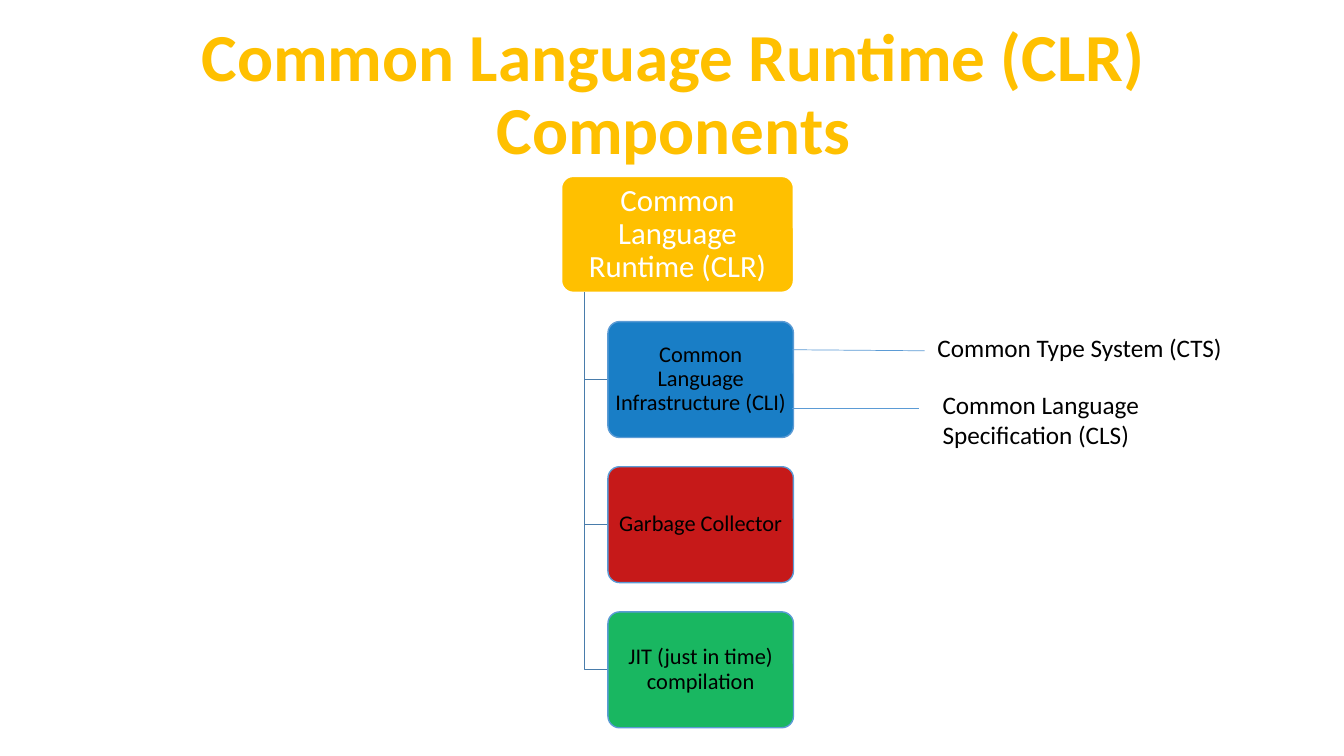
import pptx
import pptx.dml.color
import pptx.enum.shapes
import pptx.enum.text
import pptx.oxml
import pptx.oxml.ns
import pptx.util
from pptx.util import Inches

COLORS = {
    "gold": "FFC000",
    "white": "FFFFFF",
    "black": "000000",
    "blue": "0070C0",
    "red": "C00000",
    "green": "00B050",
    "outline": "5B9BD5",
    "branch": "497CAB",
}
FONT = "Calibri"

COMPONENTS = [
    ("Common Language Infrastructure (CLI)", "blue"),
    ("Garbage Collector", "red"),
    ("JIT (just in time) compilation", "green"),
]
# text, line start y, line end, label left and top, label height
CLI_PARTS = [
    ("Common Type System (CTS)", 3.47, (9.17, 3.48), (9.2, 3.25), 0.4),
    ("Common Language Specification (CLS)", 4.05, (9.12, 4.05), (9.25, 3.81), 0.71),
]
NODE_HEIGHT = 1.15
NODE_STEP = 1.44


def color(name):
    return pptx.dml.color.RGBColor.from_string(COLORS[name])


def set_line(shape, name, width):
    shape.line.color.rgb = color(name)
    shape.line.width = pptx.util.Pt(width)


def write(frame, text, size, name, align, bold=False, spacing=None):
    frame.word_wrap = True
    para = frame.paragraphs[0]
    para.alignment = align
    if spacing:
        para.line_spacing = spacing
    span = para.add_run()
    span.text = text
    span.font.name = FONT
    span.font.size = pptx.util.Pt(size)
    span.font.bold = bold
    span.font.color.rgb = color(name)


def add_title(page, left, top, width, height):
    title = page.shapes.title
    title.left, title.top = Inches(left), Inches(top)
    title.width, title.height = Inches(width), Inches(height)
    frame = title.text_frame
    frame.auto_size = pptx.enum.text.MSO_AUTO_SIZE.NONE
    frame.vertical_anchor = pptx.enum.text.MSO_ANCHOR.MIDDLE
    write(frame, "Common Language Runtime (CLR) Components", 48, "gold",
          pptx.enum.text.PP_ALIGN.CENTER, bold=True, spacing=0.9)


def add_node(page, left, top, width, text, size, fill, line, ink, opacity=100):
    node = page.shapes.add_shape(
        pptx.enum.shapes.MSO_SHAPE.ROUNDED_RECTANGLE,
        Inches(left), Inches(top), Inches(width), Inches(NODE_HEIGHT))
    node.adjustments[0] = 0.1
    node.shadow.inherit = False
    node.fill.solid()
    node.fill.fore_color.rgb = color(fill)
    if opacity < 100:
        swatch = node.fill._xPr.find(".//" + pptx.oxml.ns.qn("a:srgbClr"))
        alpha = pptx.oxml.parse_xml(
            f'<a:alpha {pptx.oxml.ns.nsdecls("a")} val="{opacity * 1000}"/>')
        swatch.append(alpha)
    set_line(node, line, 1)
    frame = node.text_frame
    frame.margin_left = frame.margin_right = Inches(0.03)
    frame.margin_top = frame.margin_bottom = Inches(0.02)
    frame.vertical_anchor = pptx.enum.text.MSO_ANCHOR.MIDDLE
    write(frame, text, size, ink, pptx.enum.text.PP_ALIGN.CENTER, spacing=0.9)


def add_branch(page, left, top, right, bottom):
    """Draw the bent line that goes down from the root and right to a node."""
    builder = page.shapes.build_freeform(Inches(left), Inches(top))
    builder.add_line_segments(
        [(Inches(left), Inches(bottom)), (Inches(right), Inches(bottom))],
        close=False)
    branch = builder.convert_to_shape()
    branch.shadow.inherit = False
    branch.fill.background()
    set_line(branch, "branch", 1)


def add_tree(page, left, top, width):
    """Place the root node with its components stacked below it."""
    add_node(page, left, top, width, "Common Language Runtime (CLR)", 22,
             "gold", "white", "white")
    trunk, indent = left + 0.23, 0.46
    for row, (text, fill) in enumerate(COMPONENTS, start=1):
        node_top = top + row * NODE_STEP
        add_branch(page, trunk, top + NODE_HEIGHT, left + indent,
                   node_top + NODE_HEIGHT / 2)
        add_node(page, left + indent, node_top, width - indent, text, 16,
                 fill, "outline", "black", opacity=90)


def add_cli_parts(page, left, width):
    """Lead lines from the infrastructure node to its named parts."""
    for text, start_y, (end_x, end_y), (label_left, label_top), height in CLI_PARTS:
        lead = page.shapes.add_connector(
            pptx.enum.shapes.MSO_CONNECTOR.STRAIGHT,
            Inches(left), Inches(start_y), Inches(end_x), Inches(end_y))
        lead._element.spPr.append(pptx.oxml.parse_xml(
            f'<a:effectLst {pptx.oxml.ns.nsdecls("a")}/>'))
        set_line(lead, "outline", 0.5)
        label = page.shapes.add_textbox(
            Inches(label_left), Inches(label_top), Inches(width), Inches(height))
        write(label.text_frame, text, 18, "black", pptx.enum.text.PP_ALIGN.LEFT)


def main():
    deck = pptx.Presentation()
    deck.slide_width, deck.slide_height = Inches(13.33), Inches(7.5)
    page = deck.slides.add_slide(deck.slide_layouts.get_by_name("Title Only"))
    add_title(page, 0.93, 0.23, 11.5, 1.45)
    add_tree(page, 5.57, 1.75, 2.3)
    add_cli_parts(page, 7.86, 3.17)
    deck.save("out.pptx")


if __name__ == "__main__":
    main()
